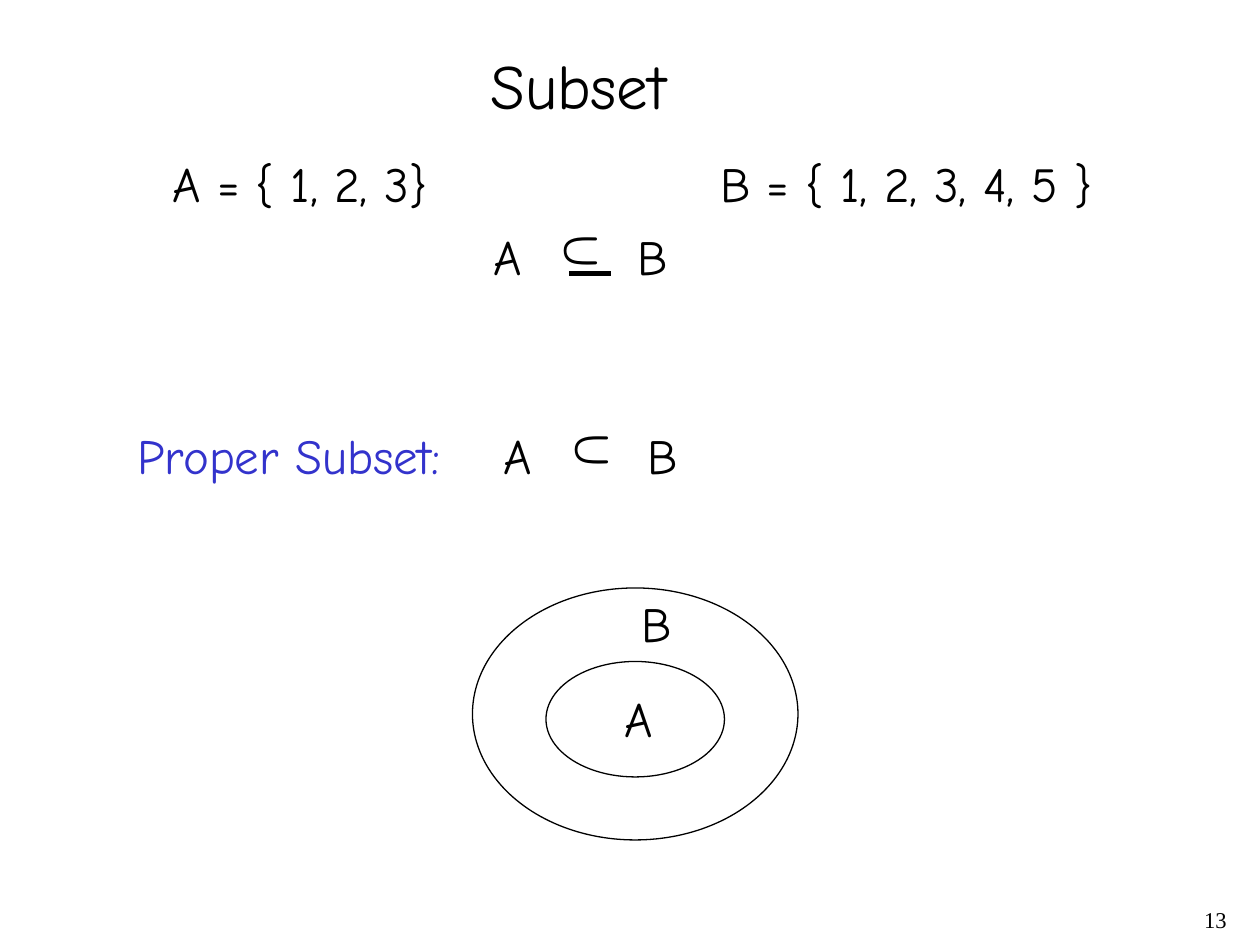
from lxml import etree
from pptx import Presentation, util as u
from pptx.dml.color import RGBColor
from pptx.enum import shapes, text
from pptx.oxml.ns import qn

BLACK, BLUE = "000000", "3333CC"


def color(value):
    return RGBColor.from_string(value)


class Deck:
    """Hold the style and the current slide, and draw its elements."""

    font, size = "Comic Neue", 28

    def __init__(self, prs):
        self.s = prs.slides.add_slide(prs.slide_layouts[6])

    def text(self, x, y, w, h, runs, size=None, font=None, ink=BLACK,
             align=text.PP_ALIGN.LEFT, anchor=text.MSO_ANCHOR.TOP,
             tab=None, spacing=None, rotation=0):
        sp = self.s.shapes.add_textbox(u.Pt(x), u.Pt(y), u.Pt(w), u.Pt(h))
        sp.rotation = rotation
        tf = sp.text_frame
        tf.word_wrap = True
        tf.vertical_anchor = anchor
        p = tf.paragraphs[0]
        p.alignment = align
        if spacing:
            p.line_spacing = spacing
        if tab:
            tabs = etree.SubElement(p._p.get_or_add_pPr(), qn("a:tabLst"))
            etree.SubElement(tabs, qn("a:tab"), pos=str(u.Pt(tab)), algn="l")
        for content in runs:
            r = p.add_run()
            r.text = content
            r.font.name = font or self.font
            r.font.size = u.Pt(size or self.size)
            r.font.color.rgb = color(ink)

    def relation(self, x, y):
        self.text(x, y, 130, 41, ["A", "\tB"], tab=82)
        self.text(x + 41.8, y - 2.5, 34, 41, ["U"], rotation=90)

    def line(self, x1, y1, x2, y2, width):
        c = self.s.shapes.add_connector(
            shapes.MSO_CONNECTOR.STRAIGHT, u.Pt(x1), u.Pt(y1), u.Pt(x2), u.Pt(y2))
        c.line.color.rgb = color(BLACK)
        c.line.width = u.Pt(width)
        etree.SubElement(c._element.spPr, qn("a:effectLst"))

    def ellipse(self, x, y, w, h):
        sp = self.s.shapes.add_shape(
            shapes.MSO_SHAPE.OVAL, u.Pt(x), u.Pt(y), u.Pt(w), u.Pt(h))
        sp.shadow.inherit = False
        sp.fill.background()
        sp.line.color.rgb = color(BLACK)
        sp.line.width = u.Pt(0.74)


prs = Presentation()
prs.slide_width, prs.slide_height = u.Pt(720), u.Pt(540)
deck = Deck(prs)

deck.text(558, 516, 150, 24, ["13"], size=12.9, font="Times New Roman",
          align=text.PP_ALIGN.RIGHT, spacing=0.9)
deck.text(265.5, 23, 130, 50.4, ["Subset"], size=36,
          align=text.PP_ALIGN.CENTER, anchor=text.MSO_ANCHOR.MIDDLE)
deck.text(91.4, 84.2, 560, 41, ["A = { 1, 2, 3}", "\tB = { 1, 2, 3, 4, 5 }"], tab=313)

deck.relation(275, 126)
deck.line(325.4, 156.2, 349.2, 156.2, 3)

deck.text(71.3, 239.8, 200, 41, ["Proper Subset:"], ink=BLUE)
deck.relation(280.8, 239.8)

deck.ellipse(312, 378, 102, 66)
deck.ellipse(270, 336, 186, 144)
deck.text(350, 390.2, 32, 41, ["A"])
deck.text(359.3, 335.5, 32, 41, ["B"])

prs.save("out.pptx")
